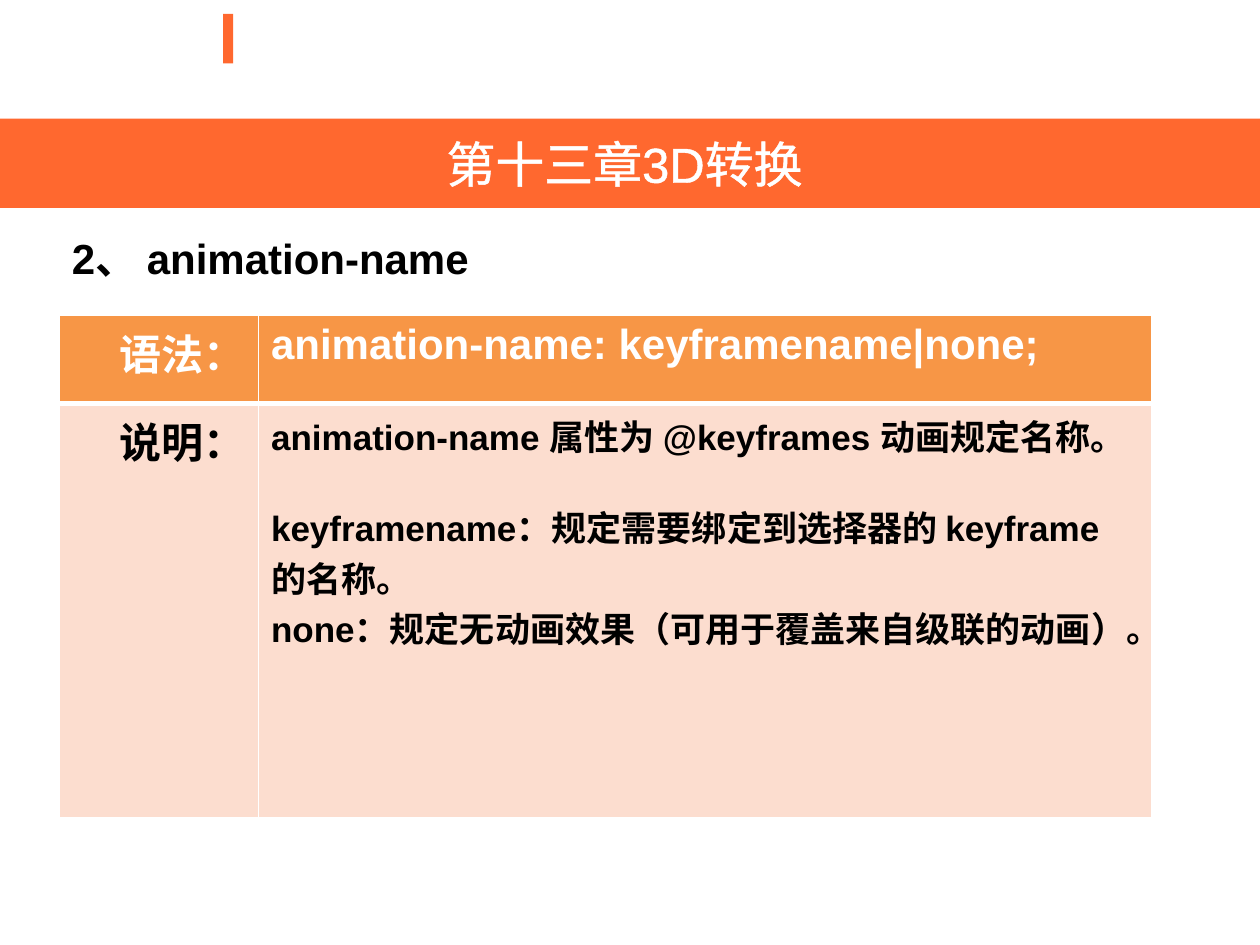
from dataclasses import dataclass

from lxml.etree import SubElement
from pptx import Presentation
from pptx.dml.color import RGBColor
from pptx.enum.shapes import MSO_SHAPE as Shape
from pptx.enum.text import MSO_ANCHOR as Anchor, PP_ALIGN as Align
from pptx.oxml import parse_xml
from pptx.oxml.ns import nsdecls, qn
from pptx.util import Cm, Pt

TITLE = "第十三章3D转换\N{NO-BREAK SPACE}"
HEADING = "2、 animation-name"
SYNTAX = ("语法：", ["animation-name: keyframename|none;"])
NOTES = ("说明：", [
    "animation-name 属性为 @keyframes 动画规定名称。",
    "keyframename：规定需要绑定到选择器的 keyframe 的名称。",
    "none：规定无动画效果（可用于覆盖来自级联的动画）。",
])


@dataclass(frozen=True)
class Theme:
    font: str = "Arial"
    accent: str = "FF682F"
    header: str = "F79646"
    body: str = "FCDDCF"
    light: str = "FFFFFF"
    dark: str = "000000"
    title_size: int = 28
    heading_size: int = 24
    note_size: int = 20
    note_gap: int = 23


THEME = Theme()
COLUMN_WIDTHS = (4.01, 18.01)
# content, height in cm, fill, text colour, size of the right cell, top and bottom border
ROWS = [
    (SYNTAX, 1.78, THEME.header, THEME.light, THEME.heading_size, 1, 3),
    (NOTES, 8.36, THEME.body, THEME.dark, THEME.note_size, 3, 1),
]


def paint(fill, color):
    fill.solid()
    fill.fore_color.rgb = RGBColor.from_string(color)


def write(frame, lines, size, color, bold=True, align=Align.LEFT):
    for index, line in enumerate(lines):
        para = frame.paragraphs[0] if index == 0 else frame.add_paragraph()
        para.text = line
        para.alignment = align
        font = para.font
        font.name, font.size, font.bold = THEME.font, Pt(size), bold
        font.color.rgb = RGBColor.from_string(color)


def add_bar(slide, *box):
    bar = slide.shapes.add_shape(Shape.RECTANGLE, *map(Cm, box))
    bar.shadow.inherit = False
    paint(bar.fill, THEME.accent)
    bar.line.fill.background()
    return bar


def outline_text(para, color, width):
    """Give the letters of the paragraph's first run an outline."""
    line = parse_xml(f'<a:ln {nsdecls("a")} w="{Pt(width)}"/>')
    solid = SubElement(line, qn("a:solidFill"))
    SubElement(solid, qn("a:srgbClr"), val=color)
    para.runs[0]._r.get_or_add_rPr().insert(0, line)


def set_borders(cell, top, bottom):
    properties = cell._tc.get_or_add_tcPr()
    widths = {"lnL": 1, "lnR": 1, "lnT": top, "lnB": bottom}
    for position, (side, width) in enumerate(widths.items()):
        line = parse_xml(f'<a:{side} {nsdecls("a")} w="{Pt(width)}"/>')
        solid = SubElement(line, qn("a:solidFill"))
        SubElement(solid, qn("a:srgbClr"), val=THEME.light)
        properties.insert(position, line)


def add_table(slide):
    width, height = sum(COLUMN_WIDTHS), sum(row[1] for row in ROWS)
    table = slide.shapes.add_table(
        len(ROWS), len(COLUMN_WIDTHS), Cm(1.2), Cm(6.35), Cm(width), Cm(height)).table
    for column, column_width in zip(table.columns, COLUMN_WIDTHS):
        column.width = Cm(column_width)
    for row, (content, row_height, fill, color, size, top, bottom) in zip(table.rows, ROWS):
        row.height = Cm(row_height)
        label, lines = content
        label_cell, text_cell = row.cells
        write(label_cell.text_frame, [label], THEME.heading_size, color, align=Align.RIGHT)
        write(text_cell.text_frame, lines, size, color)
        for cell in row.cells:
            paint(cell.fill, fill)
            set_borders(cell, top, bottom)
    notes = table.cell(1, 1).text_frame
    notes.paragraphs[1].space_before = Pt(THEME.note_gap)


def main():
    deck = Presentation()
    deck.slide_width, deck.slide_height = Cm(25.4), Cm(19.05)
    slide = deck.slides.add_slide(deck.slide_layouts[6])

    add_bar(slide, 4.5, 0.28, 0.2, 1)
    banner = add_bar(slide, 0, 2.39, 25.4, 1.8).text_frame
    banner.vertical_anchor = Anchor.MIDDLE
    write(banner, [TITLE], THEME.title_size, THEME.light, bold=False, align=Align.CENTER)
    outline_text(banner.paragraphs[0], THEME.light, 1.45)

    heading = slide.shapes.add_textbox(Cm(1.2), Cm(4.57), Cm(23), Cm(1.28)).text_frame
    heading.word_wrap = True
    write(heading, [HEADING], THEME.heading_size, THEME.dark)

    add_table(slide)
    deck.save("out.pptx")


if __name__ == "__main__":
    main()
